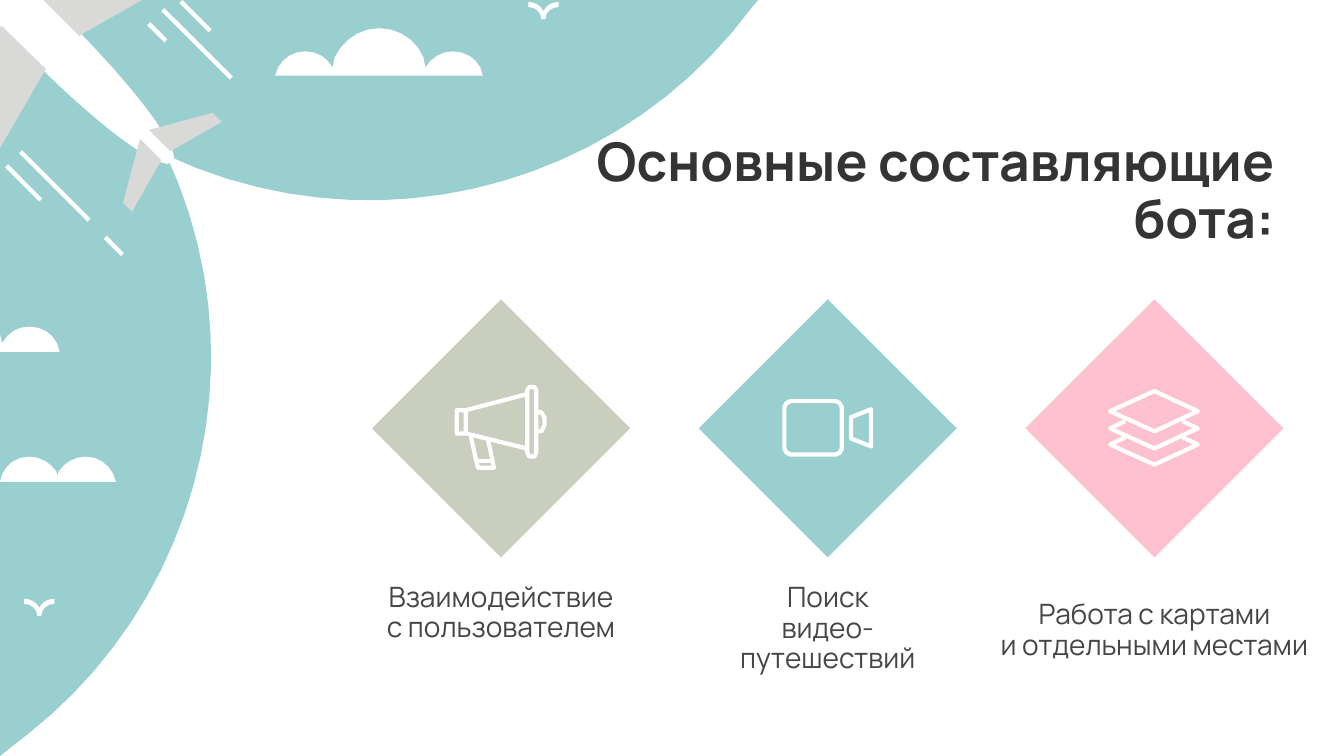
import math

from pptx import Presentation
from pptx.dml.color import RGBColor
from pptx.enum import shapes, text
from pptx.util import Inches, Pt

TEAL = RGBColor(0x99, 0xD0, 0xCF)
SAGE = RGBColor(0xC9, 0xCE, 0xBE)
PINK = RGBColor(0xFE, 0xC1, 0xCF)
WHITE = RGBColor(0xFF, 0xFF, 0xFF)
GREY = RGBColor(0xD9, 0xD9, 0xD8)
TITLE_INK = RGBColor(0x34, 0x34, 0x34)
CAPTION_INK = RGBColor(0x46, 0x46, 0x46)

HEADING = "Основные составляющие бота:"
HEADING_FORMAT = {"name": "Manrope", "size": Pt(38), "bold": True}
CAPTION_FORMAT = {"name": "Manrope", "size": Pt(20), "bold": False}

SKY = ["0,0 7.52,0 7.46,0.07 C 6.15,1.85 3.73,2.51 1.65,1.54 "
       "C 2.6,3.58 1.97,5.95 0.28,7.28 0,7.5"]
BIG_CLOUD = ["3.76,0.28 C 3.57,0.28 3.4,0.4 3.32,0.57 3.3,0.67 "
             "C 3.24,0.57 3.15,0.51 3.03,0.51 C 2.88,0.51 2.76,0.61 2.73,0.75 4.79,0.75 "
             "C 4.77,0.61 4.64,0.51 4.49,0.51 C 4.38,0.51 4.28,0.57 4.22,0.67 "
             "4.2,0.57 C 4.13,0.4 3.96,0.28 3.76,0.28"]
LOW_CLOUD = ["0.85,4.53 C 0.74,4.53 0.64,4.59 0.58,4.68 0.57,4.72 0.56,4.68 "
             "C 0.5,4.59 0.4,4.53 0.29,4.53 C 0.14,4.53 0.02,4.64 0,4.78 1.15,4.78 "
             "C 1.12,4.64 1,4.53 0.85,4.53"]
EDGE_CLOUD = ["0.29,3.24 C 0.18,3.24 0.08,3.3 0.03,3.39 0.02,3.4 0,3.32 0,3.49 0.59,3.49 "
              "C 0.57,3.34 0.44,3.24 0.29,3.24"]
BIRD = ["0.13,0.17 0.17,0.17 C 0.17,0.1 0.23,0.05 0.3,0.05 0.3,0 "
        "C 0.24,0 0.18,0.03 0.15,0.09 C 0.12,0.03 0.06,0 0,0 0,0.05 "
        "C 0.07,0.05 0.13,0.1 0.13,0.17"]
BIRD_PLACES = [(5.24, 0.02), (0.24, 5.94)]
FUSELAGE = ["0.47,0 0,0 0,0.27 0.36,0.63 C 1,1.27 1.61,1.72 1.71,1.61 "
            "C 1.82,1.51 1.37,0.91 0.73,0.26"]
WINGS = ["1.39,1.38 1.22,2.01 1.31,2.1 1.6,1.59",
         "2.11,1.12 1.48,1.29 1.69,1.5 2.2,1.21",
         "0.02,0.26 0,0.27 0,1.47 0.44,0.71 0.46,0.69",
         "1.41,0 0.43,0 0.79,0.36 0.81,0.34"]
STREAKS = [(1.06, 2.34, 0.17), (0.08, 1.63, 0.34), (0.22, 1.49, 0.68),
           (1.49, 0.22, 0.17), (1.63, 0.08, 0.68), (1.81, 0, 0.29)]
STREAK_WIDTH = 0.03

MEGAPHONE = ["4.62,4.07 4.53,4.07 4.53,4.3 4.62,4.3 4.62,4.07 5.23,3.91",
             "4.62,4.3 5.23,4.45",
             "5.23,3.87 5.25,3.84 5.3,3.84 5.32,3.87 5.32,4.49 5.3,4.53 "
             "5.25,4.53 5.23,4.49 5.23,3.87",
             "5.32,4.09 5.37,4.09 5.4,4.14 5.4,4.22 5.37,4.28 5.32,4.28",
             "4.67,4.33 4.74,4.64 4.9,4.64 4.84,4.36",
             "4.73,4.57 4.88,4.57"]
CAMERA = ["7.84,3.98 8.29,3.98 8.33,4 8.35,4.04 8.35,4.45 8.33,4.49 8.29,4.51 "
          "7.84,4.51 7.8,4.49 7.78,4.45 7.78,4.04 7.8,4 7.84,3.98",
          "8.44,4.14 8.64,4.06 8.64,4.43 8.44,4.35 8.44,4.14"]
LAYERS = ["11.01,4.08 11.45,3.88 11.88,4.08 11.45,4.28 11.01,4.08",
          "11.16,4.18 11.01,4.25 11.45,4.45 11.88,4.25 11.73,4.18",
          "11.16,4.34 11.01,4.41 11.45,4.61 11.88,4.41 11.73,4.34"]
ICON_STROKE = Pt(3)

PARTS = [
    {"lines": ["Взаимодействие", "с пользователем"], "color": SAGE, "icon": MEGAPHONE,
     "top": 5.74, "width": 4.6, "height": 0.77, "wrap": True},
    {"lines": ["Поиск", "видео-путешествий"], "color": TEAL, "icon": CAMERA,
     "top": 5.74, "width": 2.75, "height": 1.11, "wrap": True},
    {"lines": ["Работа с картами", "и отдельными местами"], "color": PINK, "icon": LAYERS,
     "top": 5.91, "width": 3.26, "height": 0.77, "wrap": False},
]
DIAMOND_LEFT, DIAMOND_TOP, DIAMOND_SIZE, DIAMOND_STEP = 3.69, 2.97, 2.56, 3.24


def cubic(ends, t):
    """Return the point at t on a cubic curve."""
    weights = ((1 - t) ** 3, 3 * t * (1 - t) ** 2, 3 * t ** 2 * (1 - t), t ** 3)
    return tuple(sum(w * end[axis] for w, end in zip(weights, ends)) for axis in (0, 1))


def trace(outline):
    """Turn an outline, where C opens a cubic curve, into points in inches."""
    points, controls, in_curve = [], [], False
    for token in outline.split():
        if token == "C":
            controls, in_curve = [points[-1]], True
            continue
        point = tuple(float(number) for number in token.split(","))
        if not in_curve:
            points.append(point)
            continue
        controls.append(point)
        if len(controls) == 4:
            steps = 4 + int(3 * math.dist(controls[0], point))
            points += [cubic(controls, i / steps) for i in range(1, steps + 1)]
            in_curve = False
    return points


def paint(shape, color):
    """Give a shape a flat fill without line or shadow."""
    shape.shadow.inherit = False
    shape.fill.solid()
    shape.fill.fore_color.rgb = color
    shape.line.fill.background()


def outline_shape(slide, contours, close=True, left=0, top=0):
    """Add one freeform made of point contours."""
    builder = None
    for contour in contours:
        start, *rest = [(Inches(left + x), Inches(top + y)) for x, y in contour]
        if builder is None:
            builder = slide.shapes.build_freeform(*start)
        else:
            builder.move_to(*start)
        builder.add_line_segments(rest, close=close)
    return builder.convert_to_shape()


def draw_icon(slide, icon):
    """Draw an icon with white strokes."""
    shape = outline_shape(slide, map(trace, icon), close=False)
    shape.shadow.inherit = False
    shape.fill.background()
    shape.line.color.rgb = WHITE
    shape.line.width = ICON_STROKE


def write(frame, lines, formats, color, align, wrap=True):
    """Fill a text frame with one formatted paragraph per line."""
    frame.text = "\n".join(lines)
    frame.word_wrap = wrap
    frame.auto_size = text.MSO_AUTO_SIZE.SHAPE_TO_FIT_TEXT
    frame.vertical_anchor = text.MSO_ANCHOR.TOP
    for paragraph in frame.paragraphs:
        paragraph.alignment = align
        paragraph.line_spacing = 0.9
        for key, value in formats.items():
            setattr(paragraph.font, key, value)
        paragraph.font.color.rgb = color


def main():
    """Build the slide and save it."""
    deck = Presentation()
    deck.slide_width, deck.slide_height = Inches(13.33), Inches(7.5)
    slide = deck.slides.add_slide(deck.slide_layouts[5])

    streaks = [[(x, y), (x - STREAK_WIDTH, y + STREAK_WIDTH),
                (x - STREAK_WIDTH + run, y + STREAK_WIDTH + run), (x + run, y + run)]
               for x, y, run in STREAKS]
    paint(outline_shape(slide, map(trace, SKY)), TEAL)
    paint(outline_shape(slide, streaks), WHITE)
    for scenery, color in [(BIG_CLOUD, WHITE), (LOW_CLOUD, WHITE), (EDGE_CLOUD, WHITE),
                           (FUSELAGE, WHITE), (WINGS, GREY)]:
        paint(outline_shape(slide, map(trace, scenery)), color)
    for left, top in BIRD_PLACES:
        paint(outline_shape(slide, map(trace, BIRD), left=left, top=top), WHITE)

    for index, part in enumerate(PARTS):
        left = DIAMOND_LEFT + index * DIAMOND_STEP
        diamond = slide.shapes.add_shape(
            shapes.MSO_SHAPE.DIAMOND, Inches(left), Inches(DIAMOND_TOP),
            Inches(DIAMOND_SIZE), Inches(DIAMOND_SIZE))
        paint(diamond, part["color"])
        draw_icon(slide, part["icon"])
        caption = slide.shapes.add_textbox(
            Inches(left + (DIAMOND_SIZE - part["width"]) / 2), Inches(part["top"]),
            Inches(part["width"]), Inches(part["height"]))
        write(caption.text_frame, part["lines"], CAPTION_FORMAT, CAPTION_INK,
              text.PP_ALIGN.CENTER, part["wrap"])

    heading = slide.shapes.title
    heading.left, heading.top = Inches(5.65), Inches(1.29)
    heading.width, heading.height = Inches(7.09), Inches(1.38)
    write(heading.text_frame, [HEADING], HEADING_FORMAT, TITLE_INK, text.PP_ALIGN.RIGHT)
    heading.element.getparent().append(heading.element)
    deck.save("out.pptx")


if __name__ == "__main__":
    main()
